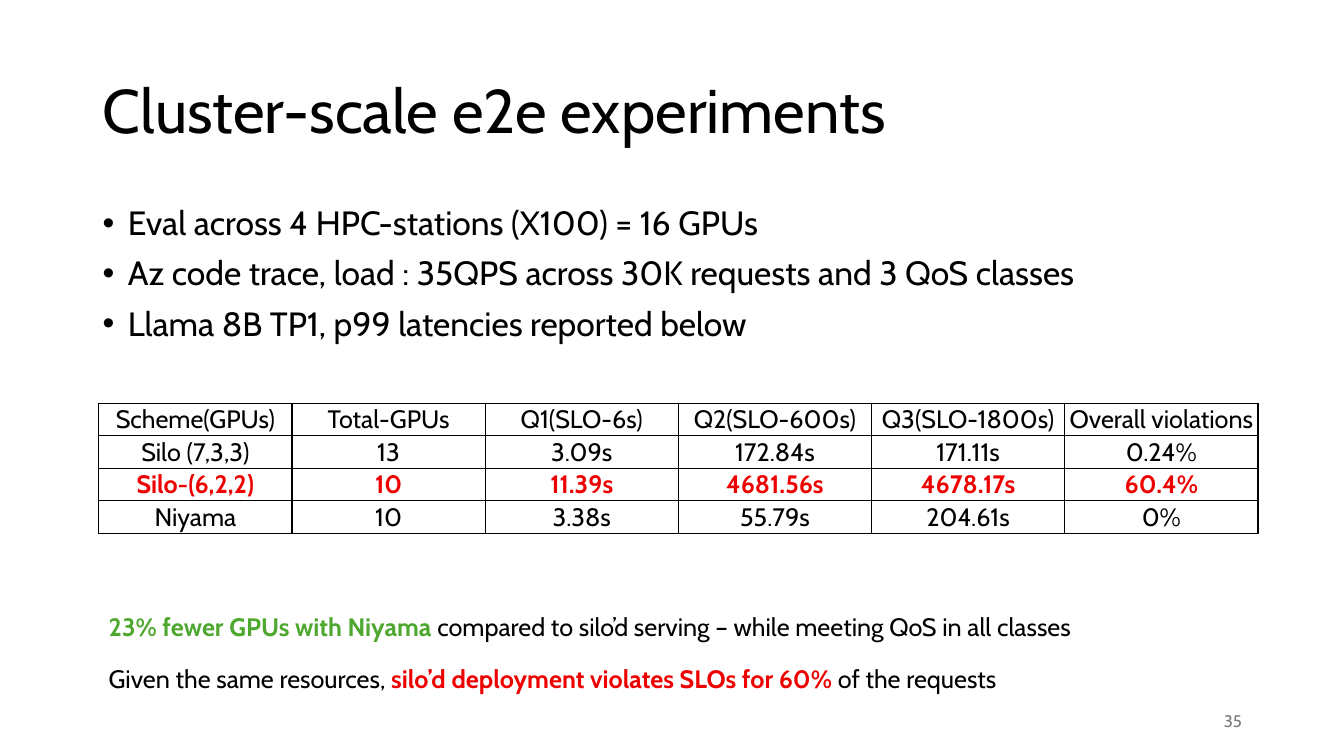
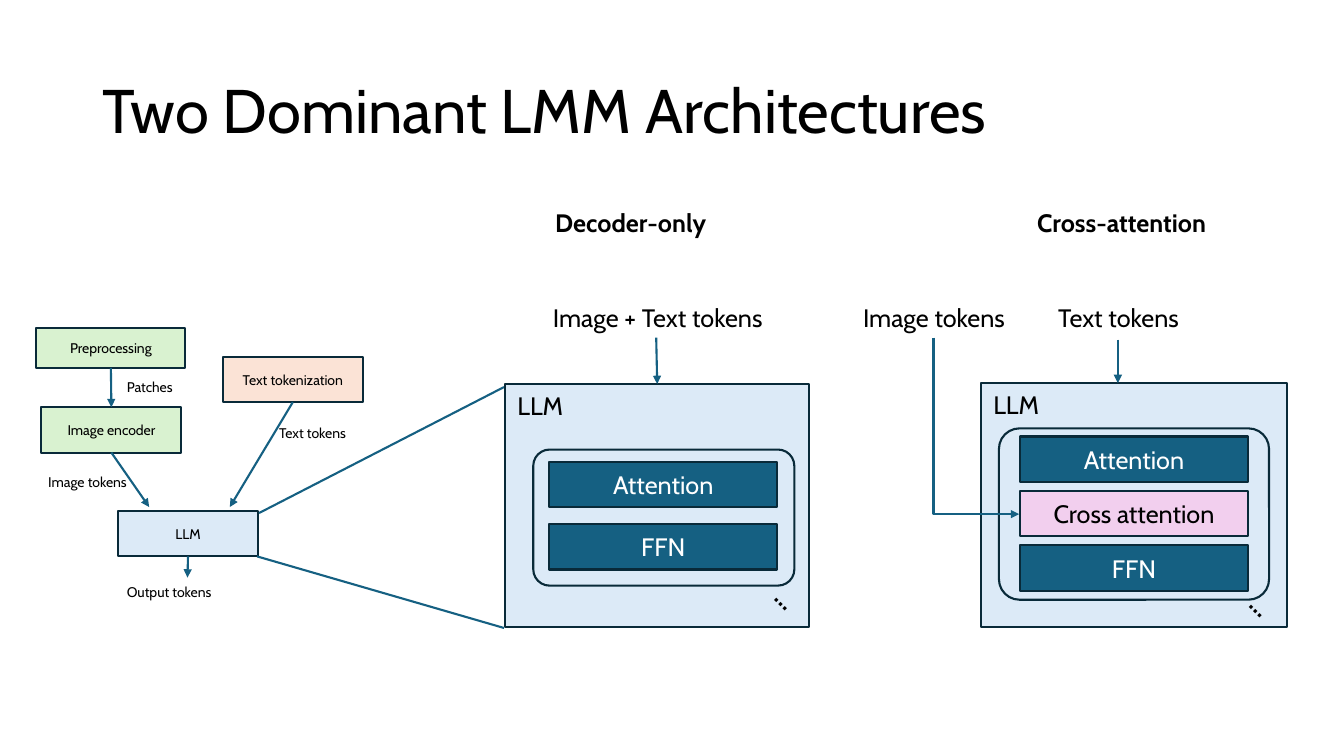
from dataclasses import dataclass

from lxml.etree import SubElement
from pptx import Presentation
from pptx.dml.color import RGBColor
from pptx.enum.shapes import MSO_CONNECTOR, MSO_SHAPE
from pptx.enum.text import MSO_ANCHOR, PP_ALIGN
from pptx.oxml.ns import qn
from pptx.util import Inches, Pt

CELL = Inches(0.1)
COLS, ROWS = 133.33, 75
LEFT, SPAN = 9.2, 115
INSET = 9.8


@dataclass(frozen=True)
class Theme:
    font: str = "Cabin"
    ink: str = "000000"
    white: str = "FFFFFF"
    gray: str = "797979"
    red: str = "EE0000"
    green: str = "4EA72E"
    edge: str = "092A39"
    teal: str = "156082"
    sky: str = "DCEAF7"
    mint: str = "D9F2D0"
    peach: str = "FBE3D6"
    pink: str = "F2CFEE"
    title: int = 44
    list: int = 24
    body: int = 18
    page: int = 12
    small: int = 10
    rule: float = 1.5
    grid: float = 1


T = Theme()


def cells(*spans):
    """Turn grid columns and rows into lengths."""
    return [round(span * CELL) for span in spans]


def tint(color):
    return RGBColor.from_string(color)


def style(para, size, color=T.ink, bold=False, align=None):
    font = para.font
    font.name, font.size, font.bold = T.font, Pt(size), bold
    font.color.rgb = tint(color)
    para.alignment = align


def label(slide, at, text, size=T.body, color=T.ink, bold=False,
          align=None, anchor=MSO_ANCHOR.TOP):
    box = slide.shapes.add_textbox(*cells(*at))
    frame = box.text_frame
    frame.word_wrap = True
    frame.vertical_anchor = anchor
    frame.text = text
    style(frame.paragraphs[0], size, color, bold, align)
    return box


def title(slide, text):
    box = label(slide, (LEFT, 4, SPAN, 14.5), text, T.title,
                anchor=MSO_ANCHOR.MIDDLE)
    box.text_frame.paragraphs[0].line_spacing = 0.9


def bullets(slide, at, lines):
    box = slide.shapes.add_textbox(*cells(*at))
    frame = box.text_frame
    frame.word_wrap = True
    frame.text = "\n".join(lines)
    for row, para in enumerate(frame.paragraphs):
        props = para._p.get_or_add_pPr()
        props.set("marL", str(Inches(0.25)))
        props.set("indent", str(-Inches(0.25)))
        SubElement(props, qn("a:buFont"), typeface="Arial")
        SubElement(props, qn("a:buChar"), char="•")
        para.line_spacing = 0.9
        if row:
            para.space_before = Pt(10)
        style(para, T.list)


def remark(slide, at, parts):
    """Write a line in which parts with a colour stand out in bold."""
    box = label(slide, at, "")
    para = box.text_frame.paragraphs[0]
    for text, color in parts:
        run = para.add_run()
        run.text = text
        if color:
            run.font.bold = True
            run.font.color.rgb = tint(color)


def border(cell):
    props = cell._tc.get_or_add_tcPr()
    for spot, side in enumerate(("lnL", "lnR", "lnT", "lnB")):
        line = props.makeelement(qn(f"a:{side}"), {"w": str(Pt(T.grid))})
        fill = SubElement(line, qn("a:solidFill"))
        SubElement(fill, qn("a:srgbClr"), val=T.ink)
        props.insert(spot, line)


def table(slide, at, rows, hot):
    """Draw a ruled table whose row number hot stands out."""
    grid = slide.shapes.add_table(len(rows), len(rows[0]), *cells(*at)).table
    grid.first_row = grid.horz_banding = False
    for i, row in enumerate(rows):
        for j, text in enumerate(row):
            cell = grid.cell(i, j)
            cell.text = text
            cell.fill.background()
            cell.vertical_anchor = MSO_ANCHOR.MIDDLE
            cell.margin_left = cell.margin_right = Inches(0.04)
            cell.margin_top = cell.margin_bottom = Inches(0.01)
            color = T.red if i == hot else T.ink
            style(cell.text_frame.paragraphs[0], T.body, color, i == hot,
                  PP_ALIGN.CENTER)
            border(cell)


def block(slide, at, text="", fill=None, size=T.body, color=T.ink,
          kind=MSO_SHAPE.RECTANGLE):
    shape = slide.shapes.add_shape(kind, *cells(*at))
    shape.shadow.inherit = False
    if fill:
        shape.fill.solid()
        shape.fill.fore_color.rgb = tint(fill)
    else:
        shape.fill.background()
    shape.line.color.rgb = tint(T.edge)
    shape.line.width = Pt(T.rule)
    if text:
        frame = shape.text_frame
        frame.vertical_anchor = MSO_ANCHOR.MIDDLE
        frame.text = text
        style(frame.paragraphs[0], size, color, align=PP_ALIGN.CENTER)
    return shape


def link(slide, start, end, head=True, kind=MSO_CONNECTOR.STRAIGHT):
    """Join two ends; each is a grid point or a (shape, side) pair."""
    ends = [(0, 0) if hasattr(a, "shape_id") else (a, b)
            for a, b in (start, end)]
    line = slide.shapes.add_connector(kind, *cells(*ends[0], *ends[1]))
    if hasattr(start[0], "shape_id"):
        line.begin_connect(*start)
    if hasattr(end[0], "shape_id"):
        line.end_connect(*end)
    line.line.color.rgb = tint(T.teal)
    line.line.width = Pt(T.rule)
    props = line._element.spPr
    if head:
        SubElement(props.find(qn("a:ln")), qn("a:tailEnd"), type="triangle")
    SubElement(props, qn("a:effectLst"))
    return line


def elbow(slide, start, end):
    """Run an arrow down from start, then right to end."""
    (x1, y1), (x2, y2) = start, end
    wide, high = x2 - x1, y2 - y1
    midx, midy = (x1 + x2) / 2, (y1 + y2) / 2
    line = link(slide, (midx + high / 2, midy - wide / 2),
                (midx - high / 2, midy + wide / 2), kind=MSO_CONNECTOR.ELBOW)
    props = line._element.spPr
    props.find(qn("a:xfrm")).set("rot", str(270 * 60000))
    props.find(qn("a:prstGeom")).set("prst", "bentConnector2")


def model(slide, at, ring, first, pitch, layers, dots):
    """Draw an LLM panel; ring, first layer and dots are offsets in it."""
    x, y, wide, high = at
    panel = block(slide, at, fill=T.sky)
    label(slide, (x - 6.1, y + 0.1, 19.2, 4), "LLM", align=PP_ALIGN.CENTER)
    rim = block(slide, (x + ring[0], y + ring[1], *ring[2:]),
                kind=MSO_SHAPE.ROUNDED_RECTANGLE)
    rim.adjustments[0] = 0.12
    for i, (text, fill, color) in enumerate(layers):
        block(slide, (x + first[0], y + first[1] + i * pitch, 22.6, 4.5),
              text, fill, color=color)
    more = label(slide, (x + dots[0], y + dots[1], 4.9, 4), "…", bold=True)
    more.rotation = 44.6
    return panel


def results(slide):
    title(slide, "Cluster-scale e2e experiments")
    bullets(slide, (LEFT, 20, SPAN, 15.7), (
        "Eval across 4 HPC-stations (X100) = 16 GPUs",
        "Az code trace, load : 35QPS across 30K requests and 3 QoS classes",
        "Llama 8B TP1, p99 latencies reported below"))
    table(slide, (INSET, 40, SPAN, 12.92), (
        ("Scheme(GPUs)", "Total-GPUs", "Q1(SLO-6s)", "Q2(SLO-600s)",
         "Q3(SLO-1800s)", "Overall violations"),
        ("Silo (7,3,3)", "13", "3.09s", "172.84s", "171.11s", "0.24%"),
        ("Silo-(6,2,2)", "10", "11.39s", "4681.56s", "4678.17s", "60.4%"),
        ("Niyama", "10", "3.38s", "55.79s", "204.61s", "0%")), hot=2)
    remark(slide, (INSET, 60.2, 115.8, 4), (
        ("23% fewer GPUs with Niyama ", T.green),
        ("compared to silo’d serving – while meeting QoS in all classes",
         None)))
    remark(slide, (INSET, 65.3, 115.8, 4), (
        ("Given the same resources, ", None),
        ("silo’d deployment violates SLOs for 60% ", T.red),
        ("of the requests", None)))
    label(slide, (94.2, 69.5, 30, 4), "35", T.page, T.gray,
          align=PP_ALIGN.RIGHT, anchor=MSO_ANCHOR.MIDDLE)


def flow(slide):
    """Draw the pipeline that feeds the LLM."""
    prep, coder, words, llm = [
        block(slide, at, text, fill, T.small) for at, text, fill in (
            ((3.6, 32.5, 14.8, 4), "Preprocessing", T.mint),
            ((4.1, 40.4, 13.9, 4.5), "Image encoder", T.mint),
            ((22.1, 35.4, 13.9, 4.5), "Text tokenization", T.peach),
            ((11.7, 50.7, 13.9, 4.5), "LLM", T.sky))]
    link(slide, (prep, 2), (coder, 0))
    link(slide, (coder, 2), (14.8, 50.3))
    link(slide, (words, 2), (22.8, 50.3))
    link(slide, (llm, 2), (18.6, 57.3))
    for x, y, wide, text in ((11.6, 37.1, 9.5, "Patches"),
                             (26.7, 41.6, 10.6, "Text tokens"),
                             (3.8, 46.5, 10.6, "Image tokens"),
                             (11.6, 57.4, 16.2, "Output tokens")):
        label(slide, (x, y, wide, 4), text, T.small)


def designs(slide):
    title(slide, "Two Dominant LMM Architectures")
    flow(slide)
    for x, text in ((54.1, "Decoder-only"), (101.9, "Cross-attention")):
        label(slide, (x, 20.1, 27.4, 4), text, bold=True)
    link(slide, (25.7, 50.9), (50, 38.4), head=False)
    link(slide, (25.5, 55.2), (50, 62.3), head=False)

    core = ("Attention", T.teal, T.white)
    feed = ("FFN", T.teal, T.white)
    cross = ("Cross attention", T.pink, T.ink)
    panel = model(slide, (50.1, 38.1, 30.2, 24.1), (2.8, 6.5, 25.9, 13.5),
                  (4.4, 7.7), 6.2, (core, feed), (25.9, 19.7))
    model(slide, (97.3, 38, 30.4, 24.2), (1.8, 4.5, 26.8, 17),
          (3.9, 5.3), 5.4, (core, cross, feed), (25.8, 20.5))

    for x, text in ((52.3, "Image + Text tokens"), (79.7, "Image tokens"),
                    (98, "Text tokens")):
        label(slide, (x, 29.5, 25.9, 4), text, align=PP_ALIGN.CENTER)
    link(slide, (65.1, 33.5), (panel, 0))
    link(slide, (110.9, 33.7), (110.9, 38))
    elbow(slide, (92.6, 33.5), (101.1, 51))


def main():
    deck = Presentation()
    deck.slide_width, deck.slide_height = cells(COLS, ROWS)
    for draw in (results, designs):
        draw(deck.slides.add_slide(deck.slide_layouts[6]))
    deck.save("out.pptx")


if __name__ == "__main__":
    main()
